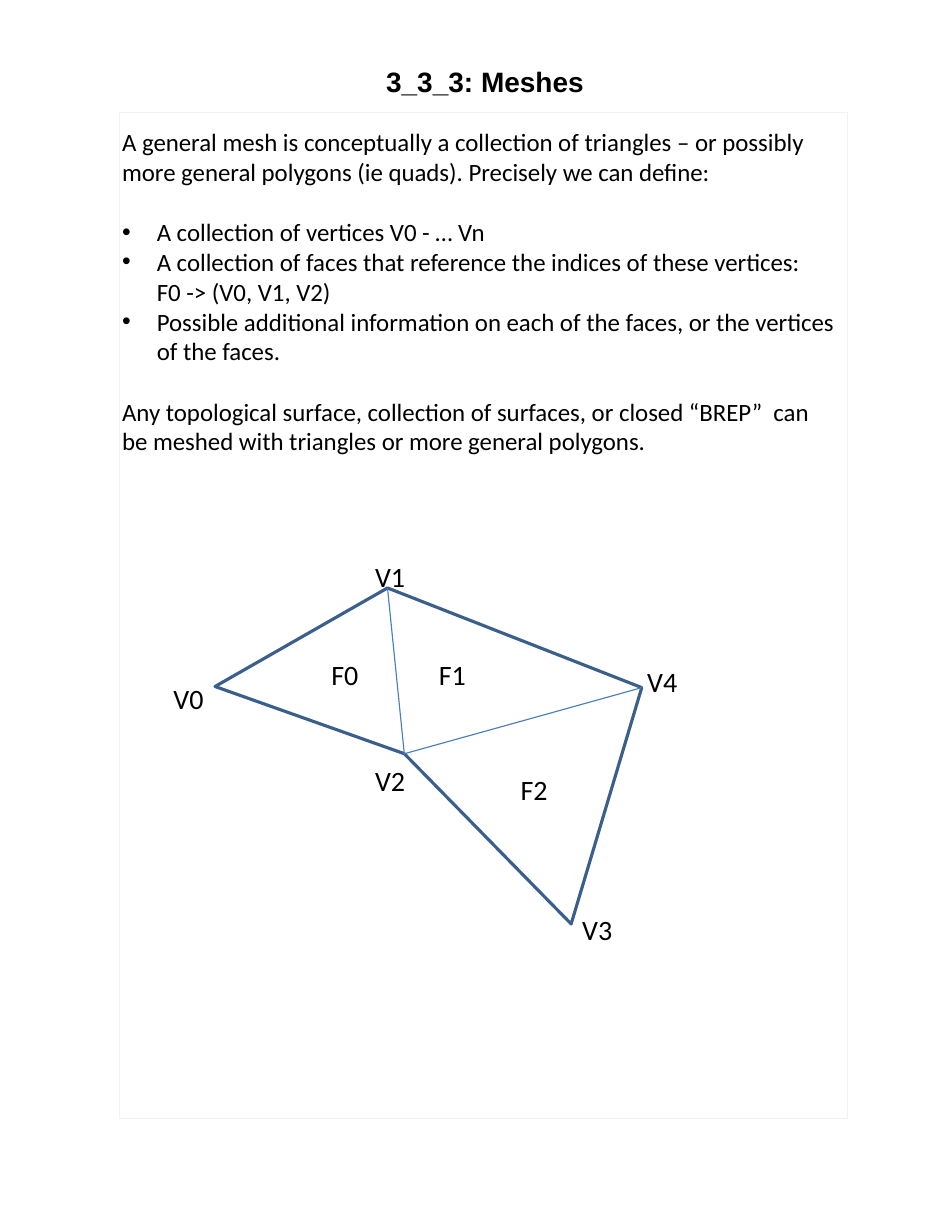
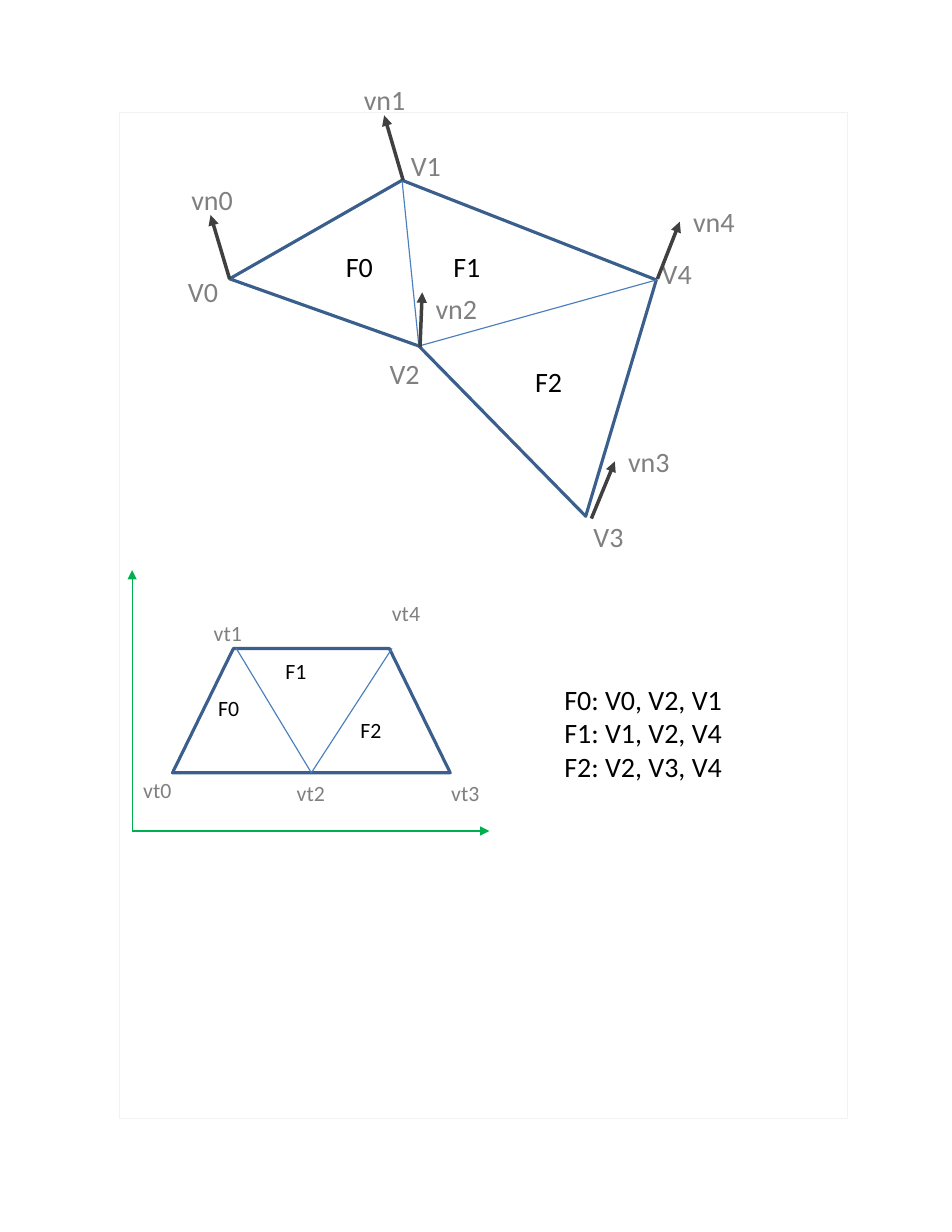
from lxml import etree
from pptx import Presentation
from pptx.dml.color import RGBColor
from pptx.enum.shapes import MSO_CONNECTOR, MSO_SHAPE
from pptx.enum.text import MSO_ANCHOR, MSO_AUTO_SIZE, PP_ALIGN
from pptx.oxml.ns import qn
from pptx.util import Inches, Pt

STRAIGHT = MSO_CONNECTOR.STRAIGHT
RECTANGLE, TRAPEZOID = MSO_SHAPE.RECTANGLE, MSO_SHAPE.TRAPEZOID
TOP, MIDDLE = MSO_ANCHOR.TOP, MSO_ANCHOR.MIDDLE
CENTER, LEFT = PP_ALIGN.CENTER, PP_ALIGN.LEFT
NO_AUTOFIT = MSO_AUTO_SIZE.NONE

COLORS = {"text": "000000", "label": "808080", "frame": "F2F2F2",
          "outline": "3A5F8C", "edge": "4B7EBC", "normal": "404040",
          "axis": "00B050"}
FRAME = (1.07, 1, 6.5, 8.99)
BODY_LINE = 19.5

VERTICES = {"V0": (0, 0.88), "V1": (1.54, 0), "V4": (3.81, 0.89),
            "V3": (3.18, 3), "V2": (1.69, 1.48)}
INNER_EDGES = [("V1", "V2"), ("V4", "V2")]
FACE_LABELS = {"F0": (0.94, 0.57), "F1": (1.9, 0.57), "F2": (2.63, 1.6)}
VERTEX_LABELS = {"V0": (-0.47, 0.79), "V1": (1.33, -0.3), "V2": (1.33, 1.52),
                 "V3": (3.18, 2.85), "V4": (3.76, 0.63)}
VERTEX_LABELS_BESIDE_NORMALS = {**VERTEX_LABELS, "V1": (1.52, -0.33),
                                "V3": (3.15, 2.98)}
NORMALS = {"vn0": ((0, 0.88), (-0.17, 0.31), (-0.44, -0.03)),
           "vn1": ((1.55, 0), (1.38, -0.58), (1.1, -0.92)),
           "vn2": ((1.7, 1.49), (1.72, 1), (1.74, 0.94)),
           "vn3": ((3.23, 3.02), (3.44, 2.51), (3.46, 2.31)),
           "vn4": ((3.82, 0.88), (4.02, 0.37), (4.04, 0.17))}
UV_FACE_LABELS = {"F0": (0.67, 1.06), "F1": (1.27, 0.73), "F2": (1.94, 1.26)}
UV_LABELS = {"vt0": (0, 1.8), "vt1": (0.63, 0.39), "vt2": (1.37, 1.82),
             "vt3": (2.75, 1.82), "vt4": (2.22, 0.22)}

INTRO = ("A general mesh is conceptually a collection of triangles – or "
         "possibly more general polygons (ie quads). Precisely we can define:")
BULLETS = [["A collection of vertices V0 - … Vn"],
           ["A collection of faces that reference the indices of these vertices:",
            "F0 -> (V0, V1, V2)"],
           ["Possible additional information on each of the faces, or the "
            "vertices of the faces."]]
CLOSING = ("Any topological surface, collection of surfaces, or closed “BREP”  "
           "can be meshed with triangles or more general polygons.")
FACE_LIST = ["F0: V0, V2, V1", "F1: V1, V2, V4", "F2: V2, V3, V4"]


def rgb(name):
    """Look up a palette colour."""
    return RGBColor.from_string(COLORS[name])


def place(sp, x, y, w, h):
    """Move and size a shape in inches."""
    sp.left, sp.top, sp.width, sp.height = map(Inches, (x, y, w, h))


def add_run(p, text, size, color="text", font="Calibri", bold=False):
    """Append one formatted run."""
    r = p.add_run()
    r.text = text
    r.font.size, r.font.name, r.font.bold = Pt(size), font, bold
    r.font.color.rgb = rgb(color)


def style_outline(sp, color, width):
    """Leave a shape unfilled with a plain outline."""
    sp.shadow.inherit = False
    sp.fill.background()
    sp.line.color.rgb = rgb(color)
    sp.line.width = Pt(width)


def add_line(shapes, x, y, start, end, color, width=0.75, arrow=False):
    """Draw a line between two points given relative to (x, y)."""
    ends = (x + start[0], y + start[1], x + end[0], y + end[1])
    line = shapes.add_connector(STRAIGHT, *map(Inches, ends))
    line.line.color.rgb = rgb(color)
    line.line.width = Pt(width)
    if arrow:
        etree.SubElement(line.line._get_or_add_ln(), qn("a:tailEnd"),
                         type="triangle")
    etree.SubElement(line._element.spPr, qn("a:effectLst"))


def add_text(shapes, x, y, w, h, lines, size=18, color="text"):
    """Add a text box with one paragraph per line."""
    tf = shapes.add_textbox(*map(Inches, (x, y, w, h))).text_frame
    tf.word_wrap = True
    for i, text in enumerate(lines):
        p = tf.add_paragraph() if i else tf.paragraphs[0]
        add_run(p, text, size, color)


def add_labels(shapes, x, y, labels, color, size=18, w=0.51, h=0.4):
    """Add short labels at offsets from (x, y)."""
    for text, (dx, dy) in labels.items():
        add_text(shapes, x + dx, y + dy, w, h, [text], size, color)


def add_frame(s):
    """Draw the pale page frame."""
    sp = s.shapes.add_shape(RECTANGLE, *map(Inches, FRAME))
    style_outline(sp, "frame", 0.5)


def add_title(s, text):
    """Fill the title placeholder."""
    sp = s.shapes.title
    place(sp, 1.08, 0.58, 6.5, 0.3)
    tf = sp.text_frame
    tf.margin_left = tf.margin_right = tf.margin_top = tf.margin_bottom = 0
    tf.auto_size, tf.vertical_anchor = NO_AUTOFIT, MIDDLE
    p = tf.paragraphs[0]
    p.alignment = CENTER
    add_run(p, text, 18, font="Arial", bold=True)


def add_paragraph(p, lines, bullet=False, gap=0):
    """Write a body paragraph, with or without a bullet."""
    p.alignment = LEFT
    p.space_before, p.space_after = Pt(gap), Pt(0)
    pPr = p._p.get_or_add_pPr()
    indent = Inches(0.31) if bullet else 0
    pPr.set("marL", str(indent))
    pPr.set("indent", str(-indent))
    if bullet:
        etree.SubElement(pPr, qn("a:buFont"), typeface="Arial")
        etree.SubElement(pPr, qn("a:buChar"), char="•")
    else:
        etree.SubElement(pPr, qn("a:buNone"))
    for i, text in enumerate(lines):
        if i:
            p.add_line_break()
        add_run(p, text, 16)


def add_body(sp, x, y, w, h):
    """Fill the body placeholder with the mesh definition."""
    place(sp, x, y, w, h)
    tf = sp.text_frame
    tf.word_wrap, tf.auto_size, tf.vertical_anchor = True, NO_AUTOFIT, TOP
    add_paragraph(tf.paragraphs[0], [INTRO])
    for i, lines in enumerate(BULLETS):
        add_paragraph(tf.add_paragraph(), lines, True, 0 if i else BODY_LINE)
    add_paragraph(tf.add_paragraph(), [CLOSING], gap=BODY_LINE)


def add_mesh(s, x, y, vertex_labels, label_color):
    """Draw the three-face mesh with its top left at (x, y)."""
    points = [(Inches(x + dx), Inches(y + dy)) for dx, dy in VERTICES.values()]
    fb = s.shapes.build_freeform(*points[0])
    fb.add_line_segments(points[1:], close=True)
    style_outline(fb.convert_to_shape(), "outline", 2)
    for start, end in INNER_EDGES:
        add_line(s.shapes, x, y, VERTICES[start], VERTICES[end], "edge")
    add_labels(s.shapes, x, y, FACE_LABELS, "text")
    add_labels(s.shapes, x, y, vertex_labels, label_color)


def add_normals(s, x, y):
    """Draw the vertex normals of the mesh at (x, y)."""
    for name, (start, end, label) in NORMALS.items():
        add_line(s.shapes, x, y, start, end, "normal", 2.25, arrow=True)
        add_labels(s.shapes, x, y, {name: label}, "label", w=0.61)


def add_uv_map(s, x, y, w, h):
    """Draw the texture map on its two axes, grouped."""
    shapes = s.shapes.add_group_shape().shapes
    left, top, width, height = 0.36, 0.7, 2.48, 1.11
    sp = shapes.add_shape(TRAPEZOID, *map(Inches, (x + left, y + top, width, height)))
    sp.adjustments[0] = 0.49
    style_outline(sp, "outline", 2)
    for end in ((w, h), (0, 0)):
        add_line(shapes, x, y, (0, h), end, "axis", arrow=True)
    for corner in (0.93, 2.32):
        add_line(shapes, x, y, (corner, top), (left + width / 2, top + height), "edge")
    add_labels(shapes, x, y, UV_FACE_LABELS, "text", 14, 0.57, 0.45)
    add_labels(shapes, x, y, UV_LABELS, "label", 14, 0.5, 0.34)


def build_definition(prs):
    """Build the slide that defines a mesh."""
    s = prs.slides.add_slide(prs.slide_layouts[1])
    add_frame(s)
    add_title(s, "3_3_3: Meshes")
    add_body(s.placeholders[1], 0.99, 1.08, 6.6, 3.87)
    add_mesh(s, 1.92, 5.25, VERTEX_LABELS, "text")


def build_attributes(prs):
    """Build the slide of normals and texture coordinates."""
    s = prs.slides.add_slide(prs.slide_layouts[6])
    add_frame(s)
    add_mesh(s, 2.05, 1.61, VERTEX_LABELS_BESIDE_NORMALS, "label")
    add_uv_map(s, 1.18, 5.09, 3.19, 2.33)
    add_text(s.shapes, 4.94, 6.04, 1.84, 1.01, FACE_LIST)
    add_normals(s, 2.05, 1.61)


def main():
    """Build and save the presentation."""
    prs = Presentation()
    prs.slide_width, prs.slide_height = Inches(8.5), Inches(11)
    build_definition(prs)
    build_attributes(prs)
    prs.save("out.pptx")


if __name__ == "__main__":
    main()
